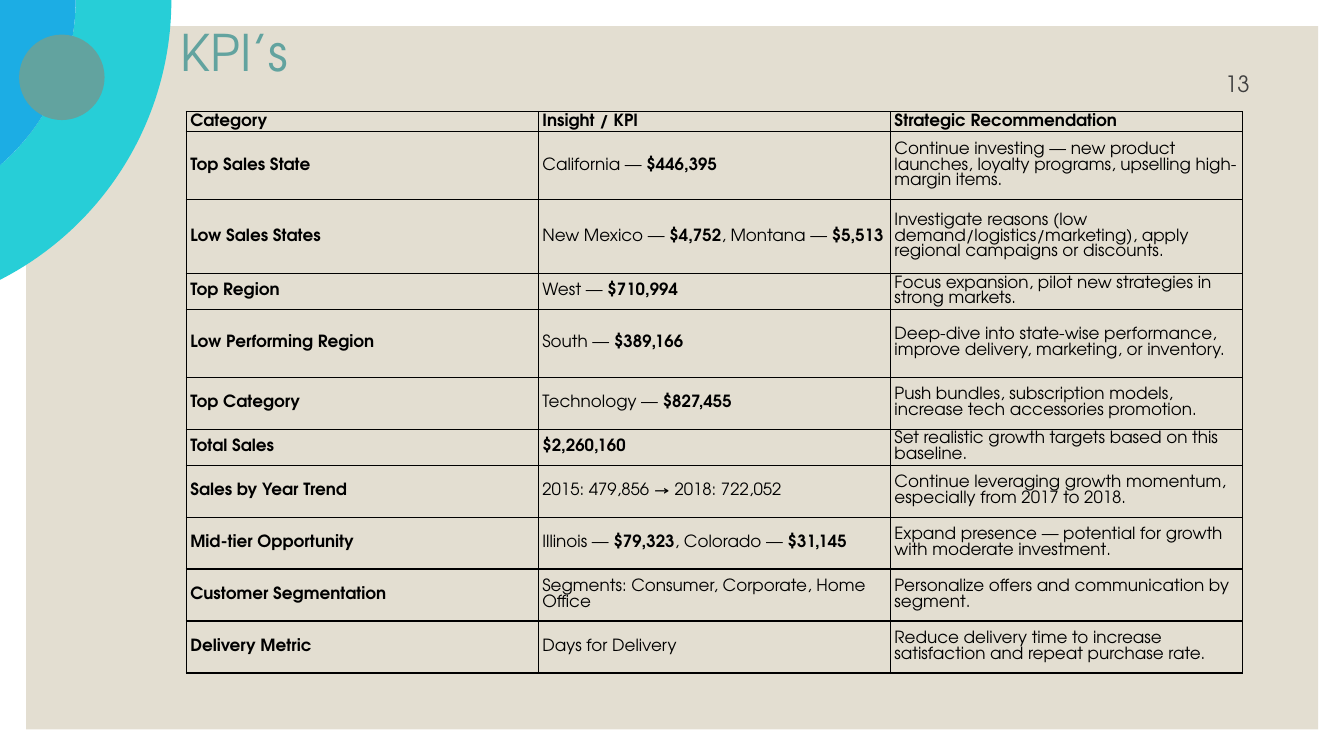
"""Build the KPI slide with its table of sales insights."""
from dataclasses import dataclass
from math import acos, cos, sin, tan

from lxml.etree import SubElement
from pptx import Presentation
from pptx.dml.color import RGBColor
from pptx.enum.shapes import MSO_SHAPE
from pptx.enum.text import MSO_ANCHOR, PP_ALIGN
from pptx.oxml.ns import qn
from pptx.util import Inches, Pt

WIDE, HIGH = Inches(13.33), Inches(7.5)
FONT = "TeX Gyre Adventor"
HUES = {
    "sand": "E3DED1", "aqua": "27CED7", "blue": "1CADE4", "sage": "62A39F",
    "black": "000000", "grey": "404040",
}
AXIS = -10.63
RIM, CORE = 23.38, 16.26


@dataclass
class Box:
    """Hold a place as percent shares of the slide."""
    left: float
    top: float
    width: float
    height: float

    def spots(self) -> tuple[int, int, int, int]:
        """Return the place in slide units."""
        return across(self.left), down(self.top), across(self.width), down(self.height)


@dataclass
class Row:
    """Hold one table row; bars switch bold on and off."""
    share: float
    name: str
    fact: str
    plan: str


ROWS = [
    Row(2.65, "|Category", "|Insight / KPI", "|Strategic Recommendation"),
    Row(8.99, "|Top Sales State", "California — |$446,395",
        "Continue investing — new product launches, loyalty programs, upselling high-margin items."),
    Row(9.79, "|Low Sales States", "New Mexico — |$4,752|, Montana — |$5,513",
        "Investigate reasons (low demand/logistics/marketing), apply regional campaigns or discounts."),
    Row(4.76, "|Top Region", "West — |$710,994",
        "Focus expansion, pilot new strategies in strong markets."),
    Row(8.99, "|Low Performing Region", "South — |$389,166",
        "Deep-dive into state-wise performance, improve delivery, marketing, or inventory."),
    Row(6.88, "|Top Category", "Technology — |$827,455",
        "Push bundles, subscription models, increase tech accessories promotion."),
    Row(4.76, "|Total Sales", "|$2,260,160",
        "Set realistic growth targets based on this baseline."),
    Row(6.88, "|Sales by Year Trend", "2015: 479,856 → 2018: 722,052",
        "Continue leveraging growth momentum, especially from 2017 to 2018."),
    Row(6.88, "|Mid-tier Opportunity", "Illinois — |$79,323|, Colorado — |$31,145",
        "Expand presence — potential for growth with moderate investment."),
    Row(6.88, "|Customer Segmentation", "Segments: Consumer, Corporate, Home Office",
        "Personalize offers and communication by segment."),
    Row(6.88, "|Delivery Metric", "Days for Delivery",
        "Reduce delivery time to increase satisfaction and repeat purchase rate."),
]


def across(share: float) -> int:
    """Turn a percent of the width into slide units."""
    return round(WIDE * share / 100)


def down(share: float) -> int:
    """Turn a percent of the height into slide units."""
    return round(HIGH * share / 100)


def paint(shape, hue: str) -> None:
    """Fill a shape flat, with no line or shadow."""
    shape.fill.solid()
    shape.fill.fore_color.rgb = RGBColor.from_string(HUES[hue])
    shape.line.fill.background()
    shape.shadow.inherit = False


def write(para, text: str, size: float, hue: str) -> None:
    """Add text run by run, bold after every odd bar."""
    for turn, part in enumerate(text.split("|")):
        if part:
            run = para.add_run()
            run.text = part
            run.font.name = FONT
            run.font.size = Pt(size)
            run.font.bold = turn % 2 == 1
            run.font.color.rgb = RGBColor.from_string(HUES[hue])


def arc(reach: float) -> list[tuple[int, int]]:
    """Give the four curve points from the top edge to the left edge."""
    end = acos(-AXIS / reach)
    pull = reach * 4 / 3 * tan(end / 4)
    tip = AXIS + reach * cos(end), reach * sin(end)
    dots = [(AXIS + reach, 0), (AXIS + reach, pull),
            (tip[0] + pull * sin(end), tip[1] - pull * cos(end)), tip]
    return [(across(x), across(y)) for x, y in dots]


def band(slide, dots: list[tuple[int, int]], hue: str) -> None:
    """Draw a closed outline, each full group of four dots as a curve."""
    pen = slide.shapes.build_freeform(*dots[0])
    pen.add_line_segments(dots[1:], close=True)
    shape = pen.convert_to_shape()
    lines = list(shape.element.iter(qn("a:lnTo")))
    for start in range(0, len(lines) - 2, 4):
        first, *rest = lines[start:start + 3]
        first.tag = qn("a:cubicBezTo")
        for line in rest:
            first.append(line[0])
            line.getparent().remove(line)
    paint(shape, hue)


def preset(slide, kind: MSO_SHAPE, box: Box, hue: str) -> None:
    """Draw a plain preset shape."""
    paint(slide.shapes.add_shape(kind, *box.spots()), hue)


def frame(cell) -> None:
    """Give a cell thin black borders and no fill."""
    props = cell._tc.get_or_add_tcPr()
    for side in ("a:lnL", "a:lnR", "a:lnT", "a:lnB"):
        line = SubElement(props, qn(side), w=str(Pt(1)))
        fill = SubElement(line, qn("a:solidFill"))
        SubElement(fill, qn("a:srgbClr"), val=HUES["black"])
    cell.fill.background()


def chart(slide, box: Box) -> None:
    """Lay out the table of insights."""
    table = slide.shapes.add_table(len(ROWS), 3, *box.spots()).table
    table.first_row = table.horz_banding = False
    for col in table.columns:
        col.width = across(box.width / 3)
    for line, row in zip(table.rows, ROWS):
        line.height = down(row.share)
        for cell, text in zip(line.cells, (row.name, row.fact, row.plan)):
            cell.margin_left = cell.margin_right = across(0.3)
            cell.margin_top = cell.margin_bottom = down(0.27)
            cell.vertical_anchor = MSO_ANCHOR.MIDDLE
            frame(cell)
            para = cell.text_frame.paragraphs[0]
            para.line_spacing = Pt(11.3)
            write(para, text, 12, "black")


def head(slide, box: Box) -> None:
    """Place the title in front of the backdrop."""
    title = slide.shapes.title
    title.left, title.top, title.width, title.height = box.spots()
    title.element.getparent().append(title.element)
    text = title.text_frame
    text.margin_top = text.margin_bottom = 0
    text.vertical_anchor = MSO_ANCHOR.MIDDLE
    text.paragraphs[0].alignment = PP_ALIGN.LEFT
    write(text.paragraphs[0], "KPI’s", 36, "sage")


def folio(slide, box: Box) -> None:
    """Place the page number."""
    text = slide.shapes.add_textbox(*box.spots()).text_frame
    text.word_wrap = True
    text.vertical_anchor = MSO_ANCHOR.BOTTOM
    text.paragraphs[0].alignment = PP_ALIGN.RIGHT
    write(text.paragraphs[0], "13", 16, "grey")


def main() -> None:
    """Draw the slide and save it."""
    deck = Presentation()
    deck.slide_width, deck.slide_height = WIDE, HIGH
    slide = deck.slides.add_slide(deck.slide_layouts[5])
    preset(slide, MSO_SHAPE.RECTANGLE, Box(1.95, 3.47, 96.12, 93), "sand")
    band(slide, arc(RIM) + arc(CORE)[::-1], "aqua")
    band(slide, arc(CORE) + [(0, 0)], "blue")
    preset(slide, MSO_SHAPE.OVAL, Box(1.42, 4.58, 6.36, 11.3), "sage")
    head(slide, Box(12.69, -0.4, 81.02, 14.27))
    chart(slide, Box(13.86, 14.73, 78.6, 74.34))
    folio(slide, Box(84.95, 6.6, 8.78, 6.93))
    deck.save("out.pptx")


if __name__ == "__main__":
    main()
